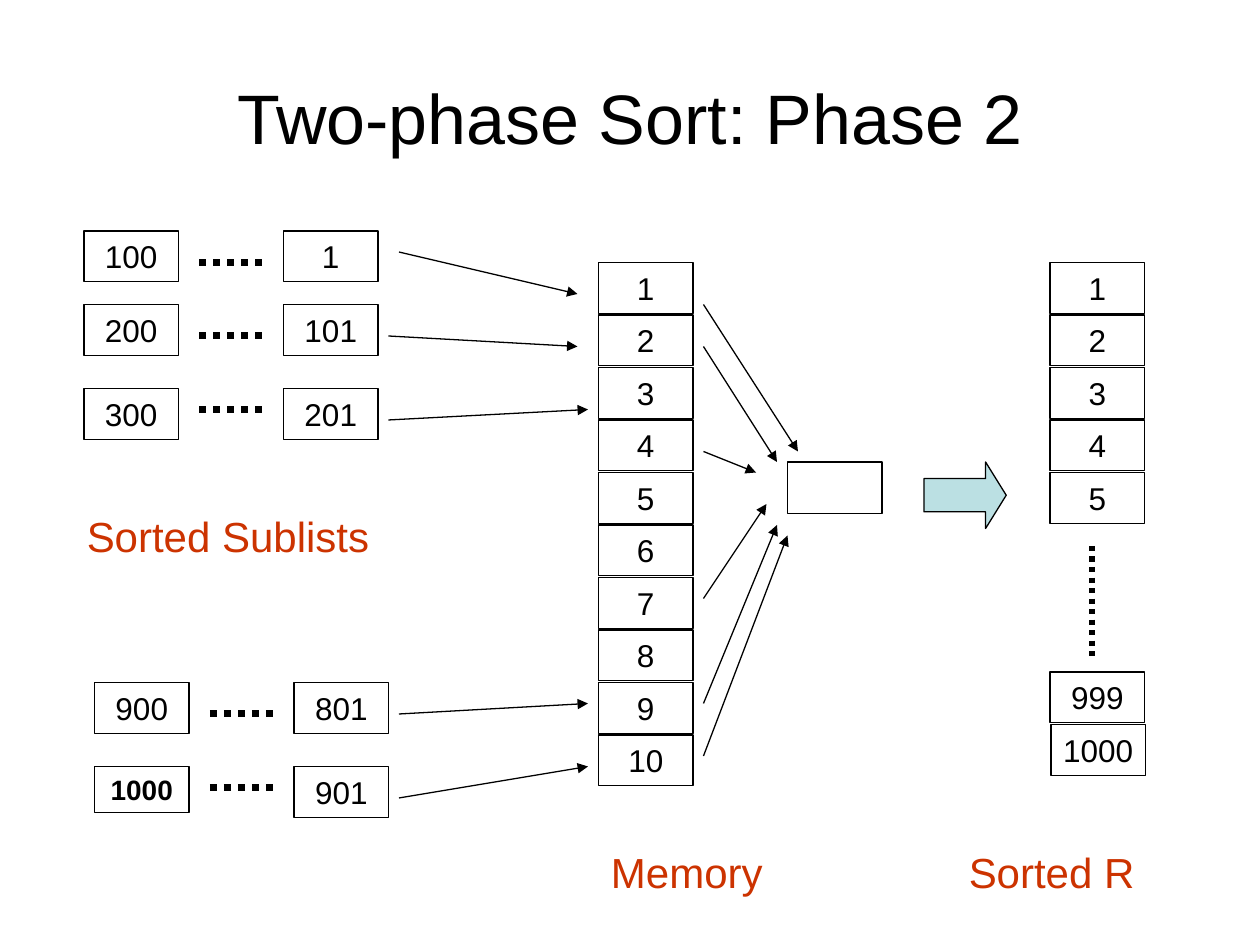
from dataclasses import dataclass

from pptx import Presentation
from pptx.dml.color import RGBColor
from pptx.enum.dml import MSO_LINE
from pptx.enum.shapes import MSO_CONNECTOR, MSO_SHAPE
from pptx.enum.text import MSO_ANCHOR, PP_ALIGN
from pptx.oxml.ns import qn
from pptx.util import Pt
from lxml.etree import SubElement

BLACK, RED, PALE_BLUE = "000000", "CC3300", "BBE0E3"
BOX_W, BOX_H, STEP = 54, 29, 30
COLUMN_TOP, MEMORY_X, SORTED_X = 150, 342, 600
RUN_SPACING = 114  # first box of a sublist to its last box


@dataclass
class Sublist:
    x: float
    y: float
    dots_y: float
    first: str
    last: str


@dataclass
class Line:
    x1: float
    y1: float
    x2: float
    y2: float


@dataclass
class Label:
    text: str
    x: float
    y: float
    w: float


SUBLISTS = [
    Sublist(48, 132, 150, "100", "1"),
    Sublist(48, 174, 192, "200", "101"),
    Sublist(48, 222, 234, "300", "201"),
    Sublist(54, 390, 408, "900", "801"),
    Sublist(54, 438, 450, "1000", "901"),
]
ARROWS_TO_MEMORY = [
    Line(228, 144, 330, 168),
    Line(222, 192, 330, 198),
    Line(222, 240, 336, 234),
    Line(228, 408, 336, 402),
    Line(228, 456, 336, 438),
]
ARROWS_TO_OUTPUT = [
    Line(402, 174, 456, 258),
    Line(402, 198, 444, 264),
    Line(402, 258, 432, 270),
    Line(402, 342, 438, 288),
    Line(402, 402, 444, 300),
    Line(402, 432, 450, 306),
]
LABELS = [
    Label("Sorted Sublists", 42.5, 288, 176),
    Label("Memory", 342, 480, 101),
    Label("Sorted R", 546.5, 480, 109),
]


def rgb(value: str) -> RGBColor:
    return RGBColor.from_string(value)


def write(sp, text: str, *, size: float = 18, color: str = BLACK, bold: bool = False,
          align=PP_ALIGN.CENTER, anchor=MSO_ANCHOR.TOP, wrap: bool = True) -> None:
    tf = sp.text_frame
    tf.word_wrap = wrap
    tf.vertical_anchor = anchor
    p = tf.paragraphs[0]
    p.alignment = align
    r = p.add_run()
    r.text = text
    r.font.name = "Arial"
    r.font.size = Pt(size)
    r.font.bold = bold
    r.font.color.rgb = rgb(color)


def add_outlined(shapes, kind, x: float, y: float, w: float, h: float):
    """Add an unfilled shape with a thin black outline."""
    sp = shapes.add_shape(kind, Pt(x), Pt(y), Pt(w), Pt(h))
    sp.shadow.inherit = False
    sp.fill.background()
    sp.line.color.rgb = rgb(BLACK)
    sp.line.width = Pt(0.75)
    return sp


def add_box(shapes, text: str, x: float, y: float, *, h: float = BOX_H, **style) -> None:
    sp = add_outlined(shapes, MSO_SHAPE.RECTANGLE, x, y, BOX_W, h)
    if text:
        write(sp, text, **style)


def add_column(shapes, x: float, count: int) -> None:
    for i in range(count):
        add_box(shapes, str(i + 1), x, COLUMN_TOP + i * STEP)


def add_line(shapes, line: Line, width: float):
    s = shapes.add_connector(MSO_CONNECTOR.STRAIGHT, Pt(line.x1), Pt(line.y1),
                             Pt(line.x2), Pt(line.y2))
    s.line.color.rgb = rgb(BLACK)
    s.line.width = Pt(width)
    return s


def add_dots(shapes, line: Line, width: float) -> None:
    s = add_line(shapes, line, width)
    s.line.dash_style = MSO_LINE.ROUND_DOT
    SubElement(s._element.spPr, qn("a:effectLst"))


def add_arrow(shapes, line: Line) -> None:
    s = add_line(shapes, line, 0.75)
    SubElement(s.line._get_or_add_ln(), qn("a:tailEnd"), type="triangle")
    SubElement(s._element.spPr, qn("a:effectLst"))


def add_sublist(shapes, sub: Sublist) -> None:
    compact = {"h": 26.5, "size": 16, "bold": True} if len(sub.first) > 3 else {}
    add_box(shapes, sub.first, sub.x, sub.y, **compact)
    add_box(shapes, sub.last, sub.x + RUN_SPACING, sub.y)
    add_dots(shapes, Line(sub.x + 66, sub.dots_y, sub.x + 102, sub.dots_y), 4)


def main() -> None:
    prs = Presentation()
    prs.slide_width, prs.slide_height = Pt(720), Pt(540)
    shapes = prs.slides.add_slide(prs.slide_layouts[6]).shapes

    title = shapes.add_textbox(Pt(36), Pt(21.6), Pt(648), Pt(90))
    write(title, "Two-phase Sort: Phase 2", size=40, anchor=MSO_ANCHOR.MIDDLE)

    add_column(shapes.add_group_shape().shapes, SORTED_X, 5)
    add_box(shapes, "999", SORTED_X, 384)
    add_box(shapes, "1000", SORTED_X + 0.5, 414, wrap=False)
    add_dots(shapes, Line(624, 312, 624, 378), 3)

    add_column(shapes, MEMORY_X, 10)
    for sub in SUBLISTS:
        add_sublist(shapes, sub)
    for label in LABELS:
        sp = shapes.add_textbox(Pt(label.x), Pt(label.y), Pt(label.w), Pt(36))
        write(sp, label.text, size=24, color=RED, align=PP_ALIGN.LEFT, wrap=False)

    add_box(shapes, "", 450, 264, h=29.5)
    block_arrow = add_outlined(shapes, MSO_SHAPE.RIGHT_ARROW, 528, 264, 47, 38)
    block_arrow.adjustments[1] = 0.31
    block_arrow.fill.solid()
    block_arrow.fill.fore_color.rgb = rgb(PALE_BLUE)

    for line in ARROWS_TO_MEMORY + ARROWS_TO_OUTPUT:
        add_arrow(shapes, line)

    prs.save("out.pptx")


if __name__ == "__main__":
    main()
